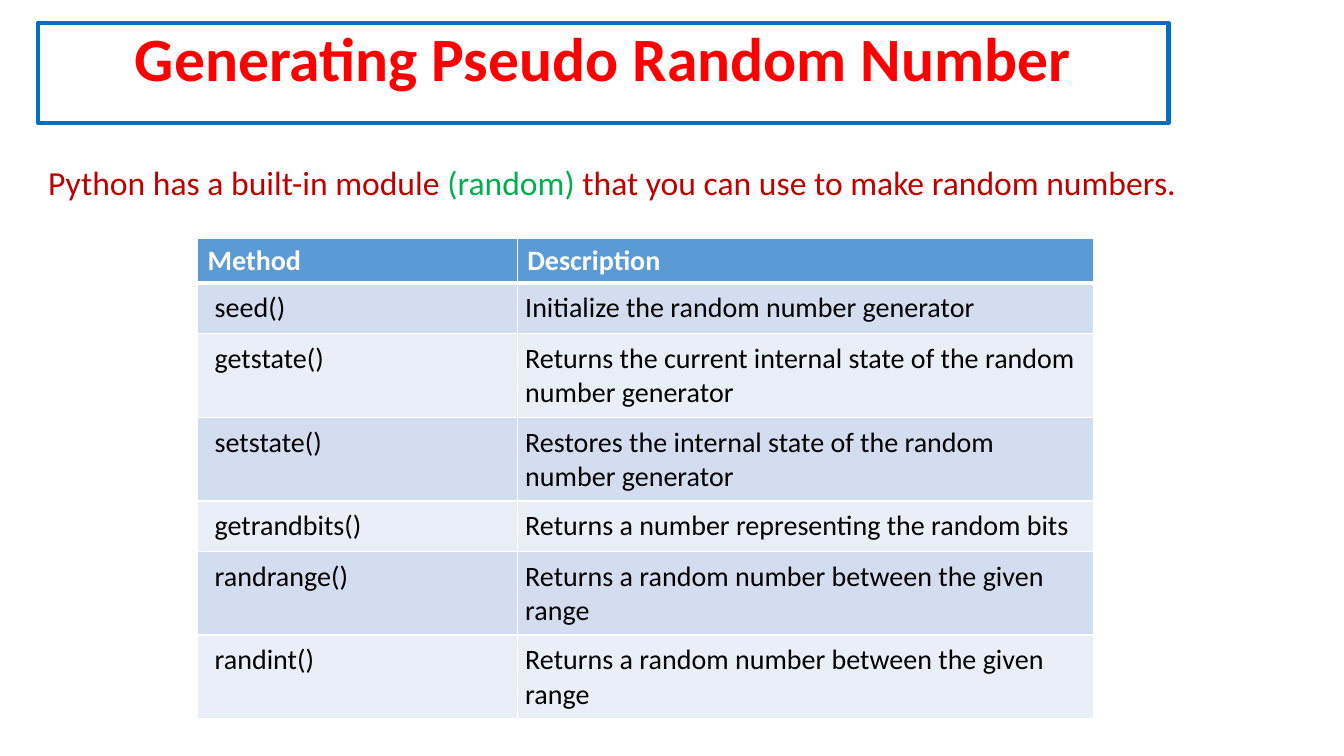
from lxml.etree import SubElement
from pptx import Presentation
from pptx.dml.color import RGBColor
from pptx.enum.shapes import MSO_SHAPE as Shape
from pptx.enum.text import MSO_ANCHOR as Anchor, PP_ALIGN as Align
from pptx.oxml.ns import qn
from pptx.util import Inches, Pt

COLORS = {
    "frame": "0070C0", "title": "FF0000", "intro": "C00000", "module": "00B050",
    "header": "5B9BD5", "odd": "D2DEEF", "even": "EAEFF7",
    "white": "FFFFFF", "black": "000000",
}
METHODS = [
    ("Method", "Description"),
    ("seed()", "Initialize the random number generator"),
    ("getstate()", "Returns the current internal state of the random number generator"),
    ("setstate()", "Restores the internal state of the random number generator"),
    ("getrandbits()", "Returns a number representing the random bits"),
    ("randrange()", "Returns a random number between the given range"),
    ("randint()", "Returns a random number between the given range"),
]
COLUMN_WIDTHS = [3.17, 5.72]
ROW_HEIGHTS = [0.44, 0.5, 0.83, 0.83, 0.5, 0.83, 0.83]


def write(paragraph, text, size=20, color="black", bold=False):
    run = paragraph.add_run()
    run.text = text
    run.font.name = "Calibri"
    run.font.size = Pt(size)
    run.font.bold = bold
    run.font.color.rgb = RGBColor.from_string(COLORS[color])


def add_border(cell, side, width):
    line = SubElement(cell._tc.get_or_add_tcPr(), qn(f"a:ln{side}"), w=str(Pt(width)))
    fill = SubElement(line, qn("a:solidFill"))
    SubElement(fill, qn("a:srgbClr"), val=COLORS["white"])


deck = Presentation()
deck.slide_width, deck.slide_height = Inches(13.33), Inches(7.5)
slide = deck.slides.add_slide(deck.slide_layouts[6])
left = Inches(0.38)

title = slide.shapes.add_shape(Shape.RECTANGLE, left, Inches(0.23), Inches(11.21), Inches(0.99))
title.shadow.inherit = False
title.fill.background()
title.line.color.rgb = RGBColor.from_string(COLORS["frame"])
title.line.width = Pt(3)
title.text_frame.word_wrap = True
title.text_frame.vertical_anchor = Anchor.TOP
heading = title.text_frame.paragraphs[0]
heading.alignment = Align.CENTER
heading.line_spacing = 0.9
write(heading, "Generating Pseudo Random Number", size=44, color="title", bold=True)

intro = slide.shapes.add_textbox(left, Inches(1.56), Inches(11.49), Inches(0.5))
intro.text_frame.word_wrap = True
for text, color in [
    ("Python has a built-in module ", "intro"),
    ("(random) ", "module"),
    ("that you can use to make random numbers.", "intro"),
]:
    write(intro.text_frame.paragraphs[0], text, size=24, color=color)

methods = slide.shapes.add_table(
    len(METHODS), len(COLUMN_WIDTHS), Inches(1.96), Inches(2.37),
    Inches(sum(COLUMN_WIDTHS)), Inches(sum(ROW_HEIGHTS))).table
for column, width in zip(methods.columns, COLUMN_WIDTHS):
    column.width = Inches(width)

for r, (entry, height) in enumerate(zip(METHODS, ROW_HEIGHTS)):
    methods.rows[r].height = Inches(height)
    is_header = r == 0
    band = "header" if is_header else "odd" if r % 2 else "even"
    for c, text in enumerate(entry):
        cell = methods.cell(r, c)
        if not is_header:
            cell.margin_left = Inches(0.08 if c else 0.17)
            cell.margin_right = cell.margin_top = cell.margin_bottom = Inches(0.08)
        for side in "LRTB":
            under_header = (r, side) in [(0, "B"), (1, "T")]
            add_border(cell, side, 3 if under_header else 1)
        cell.fill.solid()
        cell.fill.fore_color.rgb = RGBColor.from_string(COLORS[band])
        write(cell.text_frame.paragraphs[0], text,
              color="white" if is_header else "black", bold=is_header)

deck.save("out.pptx")
